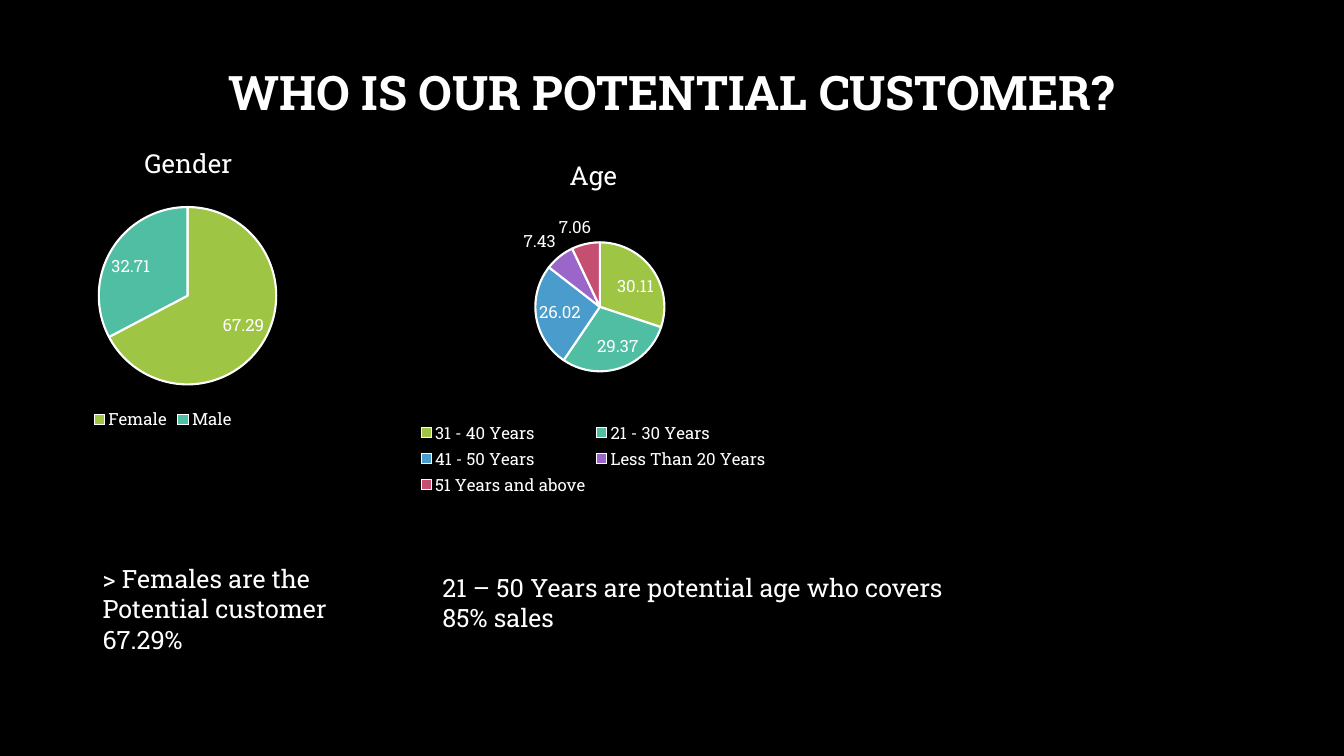
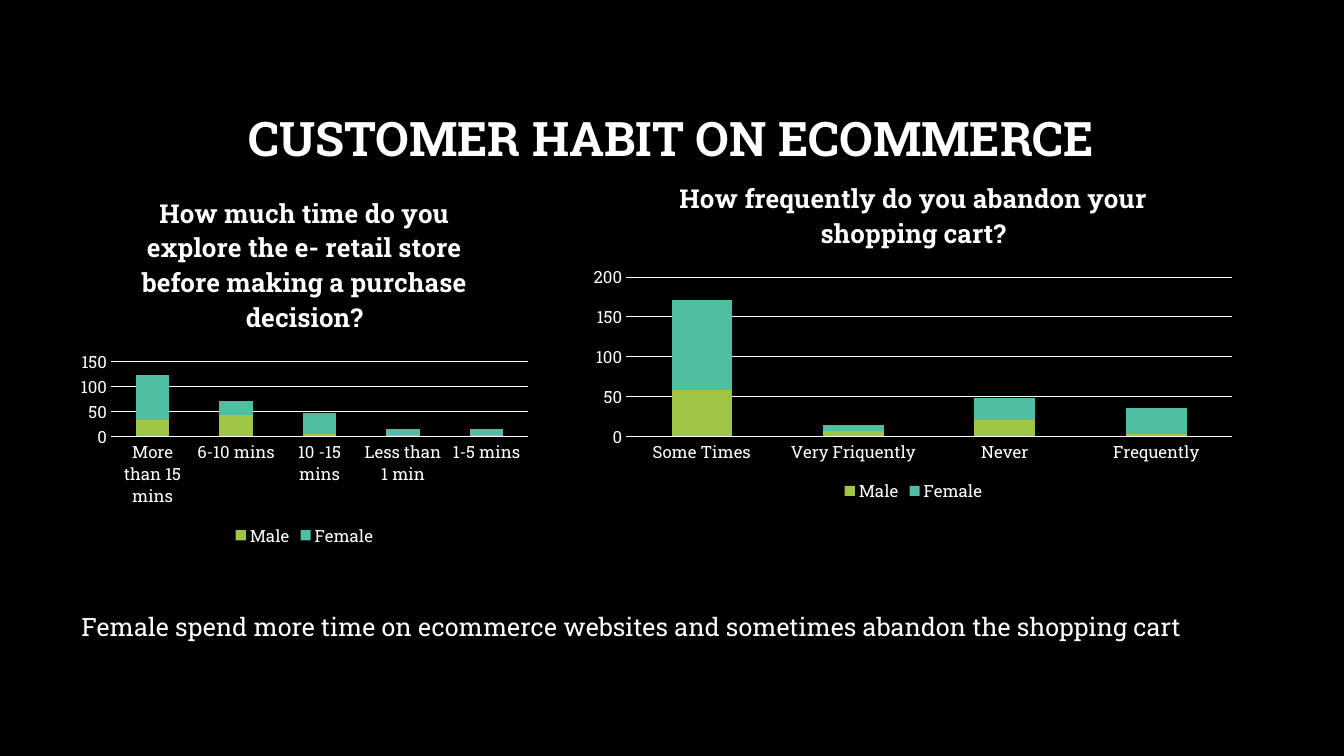
"""Build two black slides on potential customers and their shopping habits."""
import dataclasses

import lxml.etree
import pptx
import pptx.chart.data
import pptx.dml.color
import pptx.enum.chart
import pptx.enum.text
import pptx.oxml.ns
import pptx.util

Inches = pptx.util.Inches
Pt = pptx.util.Pt
Chart = pptx.enum.chart
qn = pptx.oxml.ns.qn


def rgb(code):
    """Turn a hex code into a colour."""
    return pptx.dml.color.RGBColor.from_string(code)


@dataclasses.dataclass(frozen=True)
class Theme:
    """Hold the colours, typeface and type sizes."""
    font: str = "Roboto Slab"
    background: str = "000000"
    text: str = "FFFFFF"
    accents: tuple = ("9EC544", "50BEA3", "4A9CCC", "9A66CA", "C54F71")
    title_size: float = 34
    chart_title_size: float = 18.6
    body_size: float = 18
    label_size: float = 12
    pie_line: float = 1.5
    axis_line: float = 0.75


class Deck:
    """Draw styled elements on the current slide."""

    def __init__(self, theme):
        """Start an empty widescreen presentation."""
        self.theme = theme
        self.presentation = pptx.Presentation()
        self.presentation.slide_width = Inches(13.33)
        self.presentation.slide_height = Inches(7.5)
        self.slide = None

    def add_slide(self, title, top):
        """Open a slide with its background and centred title."""
        self.slide = self.presentation.slides.add_slide(self.presentation.slide_layouts[6])
        fill = self.slide.background.fill
        fill.solid()
        fill.fore_color.rgb = rgb(self.theme.background)
        frame = self.text((1, top, 11.32, 1.45), title, self.theme.title_size, True)
        frame.word_wrap = True
        frame.vertical_anchor = pptx.enum.text.MSO_ANCHOR.MIDDLE
        frame.paragraphs[0].alignment = pptx.enum.text.PP_ALIGN.CENTER
        frame.paragraphs[0].line_spacing = 0.9

    def style(self, font, size, bold=False):
        """Apply the shared typeface and text colour."""
        font.name = self.theme.font
        font.size = Pt(size)
        font.bold = bold
        font.color.rgb = rgb(self.theme.text)

    def text(self, box, words, size, bold=False):
        """Add a text box with one paragraph per line."""
        frame = self.slide.shapes.add_textbox(*map(Inches, box)).text_frame
        frame.word_wrap = False
        frame.text = words
        for paragraph in frame.paragraphs:
            for run in paragraph.runs:
                self.style(run.font, size, bold)
        return frame

    def finding(self, box, words):
        """State what the charts show."""
        self.text(box, words, self.theme.body_size)

    def place(self, part, index, box, inset):
        """Fix a chart part at an inset, in inches, within the chart's box."""
        for previous in part.findall(qn("c:layout")):
            part.remove(previous)
        layout = lxml.etree.Element(qn("c:layout"))
        manual = lxml.etree.SubElement(layout, qn("c:manualLayout"))
        width, height = box[2:]
        shares = [length / side for length, side in zip(inset, (width, height) * 2)]
        settings = {"layoutTarget": "inner"} if len(inset) == 4 else {}
        settings.update(xMode="edge", yMode="edge", **dict(zip("xywh", shares)))
        for tag, value in settings.items():
            lxml.etree.SubElement(manual, qn("c:" + tag)).set("val", str(value))
        part.insert(index, layout)

    def chart(self, kind, box, title, categories, series, plot, bold=False):
        """Add a chart with the shared title, legend and plot styling."""
        data = pptx.chart.data.CategoryChartData()
        data.categories = categories
        for name, values in series.items():
            data.add_series(name, values)
        chart = self.slide.shapes.add_chart(kind, *map(Inches, box), data).chart
        self.style(chart.font, self.theme.label_size)
        backdrop = lxml.etree.Element(qn("c:spPr"))
        lxml.etree.SubElement(backdrop, qn("a:noFill"))
        chart.element.find(qn("c:txPr")).addprevious(backdrop)
        chart.has_title = True
        heading = chart.chart_title.text_frame
        heading.text = title
        self.style(heading.paragraphs[0].runs[0].font, self.theme.chart_title_size, bold)
        chart.has_legend = True
        chart.legend.position = Chart.XL_LEGEND_POSITION.BOTTOM
        chart.legend.include_in_layout = False
        self.style(chart.legend.font, self.theme.label_size)
        self.place(next(chart.element.iter(qn("c:plotArea"))), 0, box, plot)
        return chart

    def pie(self, box, title, shares, plot, legend=None):
        """Add a pie chart with a value on each slice."""
        chart = self.chart(Chart.XL_CHART_TYPE.PIE, box, title, list(shares),
                           {title: list(shares.values())}, plot)
        pie = chart.plots[0]
        pie.vary_by_categories = True
        for index, accent in zip(range(len(shares)), self.theme.accents):
            look = pie.series[0].points[index].format
            look.fill.solid()
            look.fill.fore_color.rgb = rgb(accent)
            look.line.color.rgb = rgb(self.theme.text)
            look.line.width = Pt(self.theme.pie_line)
        pie.has_data_labels = True
        labels = pie.data_labels
        labels.show_value = True
        labels.show_percentage = False
        labels.position = Chart.XL_LABEL_POSITION.BEST_FIT
        self.style(labels.font, self.theme.label_size)
        if legend:
            self.place(next(chart.element.iter(qn("c:legend"))), 1, box, legend)

    def columns(self, box, title, categories, series, plot, top, step=50):
        """Add a stacked column chart whose empty series stays out of the legend."""
        series = {**series, "Series 3": [None] * len(categories)}
        chart = self.chart(Chart.XL_CHART_TYPE.COLUMN_STACKED, box, title, categories,
                           series, plot, bold=True)
        entry = lxml.etree.Element(qn("c:legendEntry"))
        lxml.etree.SubElement(entry, qn("c:idx")).set("val", str(len(series) - 1))
        lxml.etree.SubElement(entry, qn("c:delete")).set("val", "1")
        next(chart.element.iter(qn("c:legend"))).insert(1, entry)
        stack = chart.plots[0]
        stack.vary_by_categories = False
        stack.gap_width = 150
        stack.overlap = 100
        for answers, accent in zip(stack.series, self.theme.accents):
            answers.format.fill.solid()
            answers.format.fill.fore_color.rgb = rgb(accent)
        counts = chart.value_axis
        counts.minimum_scale, counts.maximum_scale, counts.major_unit = 0, top, step
        counts.has_major_gridlines = True
        counts.format.line.fill.background()
        for line in (counts.major_gridlines.format.line, chart.category_axis.format.line):
            line.color.rgb = rgb(self.theme.text)
            line.width = Pt(self.theme.axis_line)
        for axis in (counts, chart.category_axis):
            axis.major_tick_mark = Chart.XL_TICK_MARK.NONE
            axis.minor_tick_mark = Chart.XL_TICK_MARK.NONE
            self.style(axis.tick_labels.font, self.theme.label_size)


def main():
    """Build both slides and save the file."""
    deck = Deck(Theme())

    deck.add_slide("WHO IS OUR POTENTIAL CUSTOMER?", 0.22)
    deck.pie((0, 1.26, 3.74, 3.11), "Gender", {"Female": 67.29, "Male": 32.71},
             (0.98, 0.79, 1.76, 1.77), legend=(0.88, 2.75))
    ages = {"31 - 40 Years": 30.11, "21 - 30 Years": 29.37, "41 - 50 Years": 26.02,
            "Less Than 20 Years": 7.43, "51 Years and above": 7.06}
    deck.pie((3.41, 1.37, 4.95, 3.59), "Age", ages, (1.9, 1.03, 1.28, 1.29))
    deck.finding((0.92, 5.54, 2.49, 1.01),
                 "> Females are the\nPotential customer\n67.29%")
    deck.finding((4.29, 5.63, 5.46, 0.71),
                 "21 – 50 Years are potential age who covers\n85% sales")

    deck.add_slide("CUSTOMER HABIT ON ECOMMERCE", 0.67)
    deck.columns((0.71, 1.74, 4.62, 3.72),
                 "How much time do you explore the e- retail store before making a purchase decision?",
                 ["More than 15 mins", "6-10 mins", "10 -15 mins", "Less than 1 min", "1-5 mins"],
                 {"Male": [32, 43, 5, 3, 3], "Female": [91, 28, 41, 12, 11]},
                 (0.39, 1.85, 4.14, 0.74), top=150)
    deck.columns((5.76, 1.6, 6.6, 3.42),
                 "How frequently do you abandon your shopping cart?",
                 ["Some Times", "Very Friquently", "Never", "Frequently"],
                 {"Male": [58, 7, 20, 3], "Female": [113, 7, 28, 32]},
                 (0.45, 1.15, 6.01, 1.58), top=200)
    deck.finding((0.71, 6.02, 11.88, 0.4),
                 "Female spend more time on ecommerce websites and sometimes abandon the shopping cart")

    deck.presentation.save("out.pptx")


if __name__ == "__main__":
    main()
